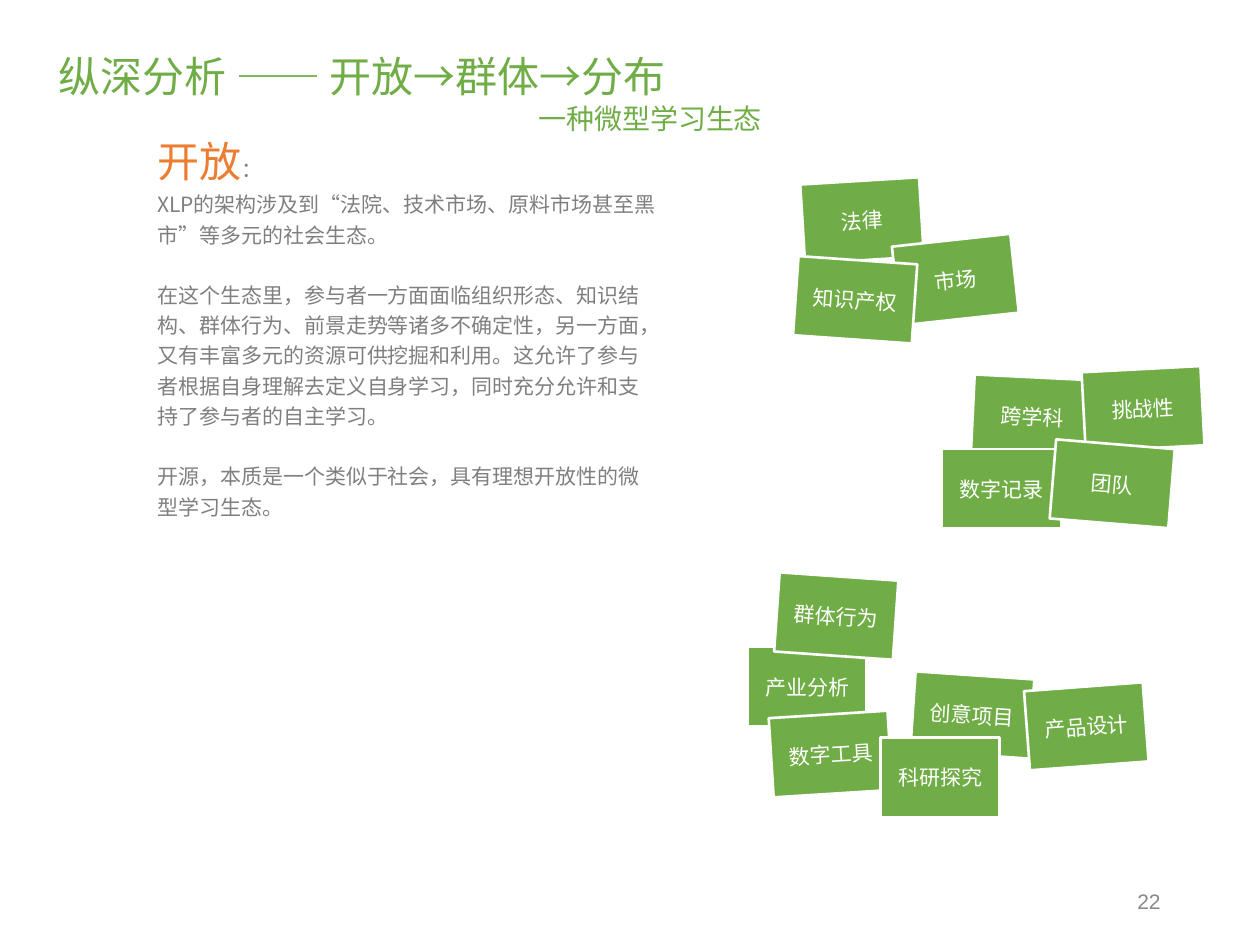
from lxml.etree import SubElement
from pptx import Presentation
from pptx.dml.color import RGBColor
from pptx.enum.shapes import MSO_SHAPE
from pptx.enum.text import MSO_ANCHOR as Anchor, PP_ALIGN as Align
from pptx.oxml.ns import qn
from pptx.util import Inches, Pt

COLORS = {"green": "70AD47", "orange": "ED7D31", "grey": "7F7F7F",
          "pale": "898989", "white": "FFFFFF"}
CJK = "Noto Sans CJK SC"
COLUMNS, ROWS = 100, 75
TILE_SIZE = (9.45, 6.3)

HEADLINE = [("纵深分析 ", "Montserrat"), ("——", "Arial"), (" 开放→群体→分布", "Montserrat")]
SUBTITLE = "一种微型学习生态"
INTRO = [("XLP的架构涉及到", CJK), ("“", "Arial"),
         ("法院、技术市场、原料市场甚至黑市", CJK), ("”", "Arial"),
         ("等多元的社会生态。", CJK)]
DETAILS = [
    "在这个生态里，参与者一方面面临组织形态、知识结构、群体行为、前景走势等诸多不确定性，"
    "另一方面，又有丰富多元的资源可供挖掘和利用。这允许了参与者根据自身理解去定义自身学习，"
    "同时充分允许和支持了参与者的自主学习。",
    "开源，本质是一个类似于社会，具有理想开放性的微型学习生态。",
]
# label, column, row, rotation; from back to front
TILES = [
    ("法律", 63.7, 14.35, -3.5), ("市场", 71.1, 19.05, -6.2), ("知识产权", 63.15, 20.65, 4),
    ("跨学科", 77.2, 29.95, 2.8), ("挑战性", 86, 29.3, -3),
    ("数字记录", 74.75, 35.65, 0), ("团队", 83.55, 35.25, 4.7),
    ("产业分析", 59.35, 51.35, 0), ("创意项目", 72.45, 53.6, 3.9),
    ("数字工具", 61.2, 56.7, -3.6), ("科研探究", 69.9, 58.55, 0),
    ("产品设计", 81.5, 54.5, -4.3), ("群体行为", 61.65, 45.75, 4),
]


class SlideBuilder:
    """Draws on one slide; places and sizes are in grid columns and rows."""

    def __init__(self, deck):
        self.slide = deck.slides.add_slide(deck.slide_layouts[5])
        self.column = deck.slide_width / COLUMNS
        self.row = deck.slide_height / ROWS

    def box(self, left, top, width, height):
        return (round(left * self.column), round(top * self.row),
                round(width * self.column), round(height * self.row))

    def run(self, paragraph, text, size, color, font=CJK):
        run = paragraph.add_run()
        run.text = text
        run.font.size, run.font.name, run.font.bold = Pt(size), font, False
        run.font.color.rgb = RGBColor.from_string(COLORS[color])
        SubElement(run.font._element, qn("a:ea"), typeface=CJK)

    def title(self, *area):
        title = self.slide.shapes.title
        title.left, title.top, title.width, title.height = self.box(*area)
        frame = title.text_frame
        frame.word_wrap, frame.vertical_anchor = True, Anchor.BOTTOM
        frame.margin_left = frame.margin_right = Inches(0.39)
        headline, subtitle = frame.paragraphs[0], frame.add_paragraph()
        for paragraph, spacing in ((headline, 0.9), (subtitle, 1.0)):
            paragraph.alignment, paragraph.line_spacing = Align.LEFT, spacing
            paragraph.space_before = Pt(0)
        for text, font in HEADLINE:
            self.run(headline, text, 24, "green", font)
        subtitle._p.get_or_add_pPr().set("marL", str(Inches(3.81)))
        self.run(subtitle, SUBTITLE, 16, "green", "Montserrat")

    def text_box(self, *area):
        frame = self.slide.shapes.add_textbox(*self.box(*area)).text_frame
        frame.word_wrap = True
        return frame

    def body(self, *area):
        frame = self.text_box(*area)
        heading = frame.paragraphs[0]
        heading.line_spacing = 0.75
        self.run(heading, "开放", 24, "orange", "Arial")
        self.run(heading, "：", 12, "grey")
        intro = frame.add_paragraph()
        intro.line_spacing, intro.space_before = 1.2, Pt(1)
        for text, font in INTRO:
            self.run(intro, text, 12, "grey", font)
        for text in DETAILS:
            detail = frame.add_paragraph()
            detail.line_spacing, detail.space_before = 1.2, Pt(17.3)
            self.run(detail, text, 12, "grey")

    def tile(self, label, left, top, rotation):
        tile = self.slide.shapes.add_shape(MSO_SHAPE.RECTANGLE,
                                           *self.box(left, top, *TILE_SIZE))
        tile.rotation = rotation
        tile.shadow.inherit = False
        tile.fill.solid()
        tile.fill.fore_color.rgb = RGBColor.from_string(COLORS["green"])
        tile.line.color.rgb = RGBColor.from_string(COLORS["white"])
        tile.line.width = Pt(1.5)
        frame = tile.text_frame
        frame.word_wrap, frame.vertical_anchor = True, Anchor.MIDDLE
        frame.margin_left = frame.margin_right = Inches(0.05)
        frame.paragraphs[0].alignment = Align.CENTER
        self.run(frame.paragraphs[0], label, 12, "white", "Arial")

    def page_number(self, number, *area):
        frame = self.text_box(*area)
        frame.vertical_anchor = Anchor.MIDDLE
        frame.paragraphs[0].alignment = Align.RIGHT
        self.run(frame.paragraphs[0], number, 12, "pale", "Arial")


def main():
    deck = Presentation()
    deck.slide_width, deck.slide_height = Inches(10), Inches(7.5)
    builder = SlideBuilder(deck)
    builder.title(0.75, 3.2, 100, 8.05)
    builder.body(11.5, 11.2, 41.7, 53.6)
    for tile in TILES:
        builder.tile(*tile)
    builder.page_number("22", 70.6, 69.5, 22.5, 4)
    deck.save("out.pptx")


if __name__ == "__main__":
    main()
